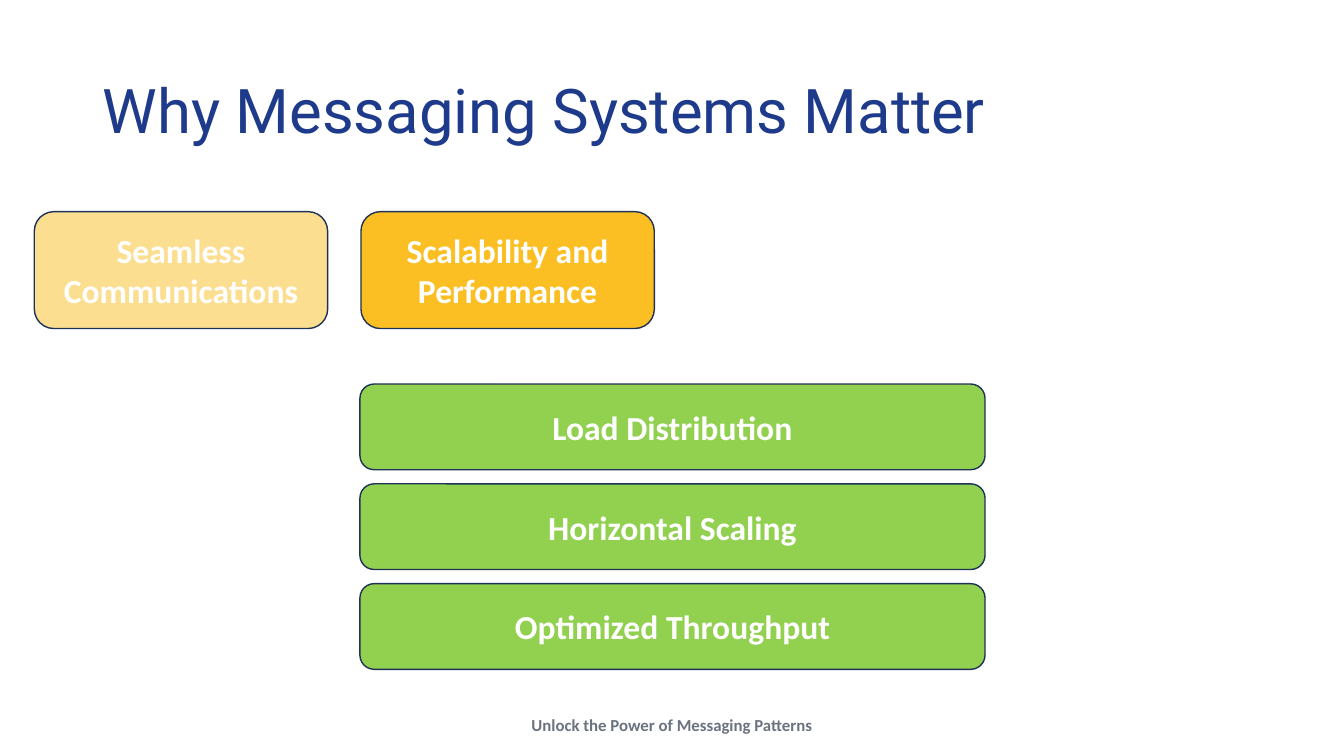
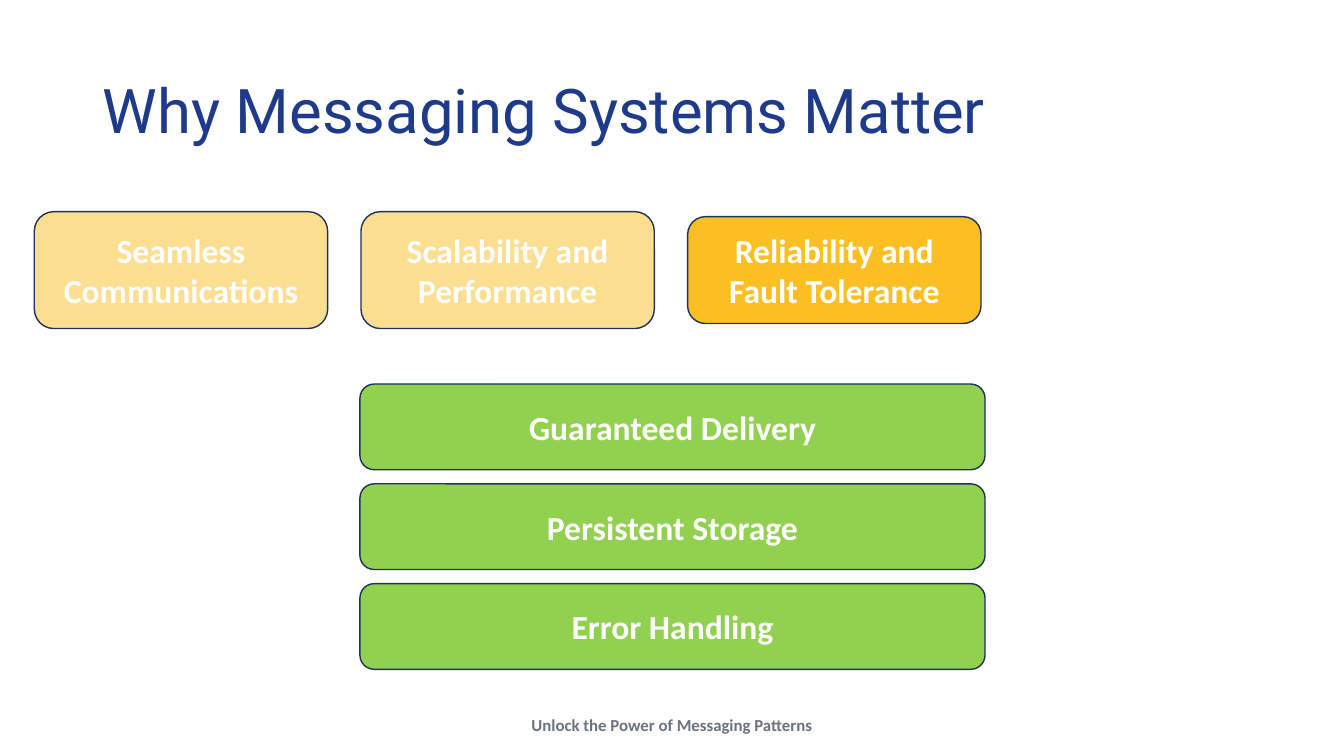
import pptx
import pptx.util
import pptx.dml.color
import pptx.enum.shapes
import pptx.enum.text
import pptx.oxml.ns
import lxml.etree

PX = 9144  # EMU per px, 100 px to the inch
SLIDE_W, SLIDE_H = 1333, 750

RGB = pptx.dml.color.RGBColor
NAVY = RGB(0x1E, 0x3A, 0x8A)
OUTLINE = RGB(0x1E, 0x32, 0x56)
AMBER = RGB(0xFB, 0xBF, 0x24)
GREEN = RGB(0x92, 0xD0, 0x50)
GRAY = RGB(0x6B, 0x72, 0x80)
WHITE = RGB(0xFF, 0xFF, 0xFF)

ALIGN = pptx.enum.text.PP_ALIGN
MIDDLE = pptx.enum.text.MSO_ANCHOR.MIDDLE

TITLE = "Why Messaging Systems Matter"
FOOTER = "Unlock the Power of Messaging Patterns"

TITLE_BOX = (92, 40, 1150, 145)
FOOTER_BOX = (515, 704, 303, 30)
TOPICS_BOX = (34, 210, 940, 116)
BENEFITS_BOX = (357, 381, 620, 283)

# Each topic: label and card height
TOPICS = [
    ("Seamless Communications", 116),
    ("Scalability and Performance", 116),
    ("Reliability and Fault Tolerance", 106),
]
# Each slide: number of topics shown (the last is current) and its benefits
SLIDES = [
    (2, ["Load Distribution", "Horizontal Scaling", "Optimized Throughput"]),
    (3, ["Guaranteed Delivery", "Persistent Storage", "Error Handling"]),
]


def emu(box):
    return [pptx.util.Emu(length * PX) for length in box]


def write(frame, text, font, size, color, bold, align):
    frame.text = text
    paragraph = frame.paragraphs[0]
    paragraph.alignment = align
    style = paragraph.runs[0].font
    style.name, style.size, style.bold = font, pptx.util.Pt(size), bold
    style.color.rgb = color
    return paragraph


def add_title(slide, box):
    frame = slide.shapes.add_textbox(*emu(box)).text_frame
    frame.word_wrap = True
    frame.vertical_anchor = MIDDLE
    paragraph = write(frame, TITLE, "Roboto", 44, NAVY, False, ALIGN.LEFT)
    paragraph.line_spacing = 0.9


def add_footer(slide, box):
    frame = slide.shapes.add_textbox(*emu(box)).text_frame
    frame.word_wrap = False
    frame.auto_size = pptx.enum.text.MSO_AUTO_SIZE.SHAPE_TO_FIT_TEXT
    write(frame, FOOTER, "Calibri", 12, GRAY, True, ALIGN.CENTER)


def add_card(slide, box, text, color, faded=False):
    card = slide.shapes.add_shape(
        pptx.enum.shapes.MSO_SHAPE.ROUNDED_RECTANGLE, *emu(box))
    card.shadow.inherit = False
    card.fill.solid()
    card.fill.fore_color.rgb = color
    if faded:
        qn = pptx.oxml.ns.qn
        tint = card.fill._xPr.find(qn("a:solidFill")).find(qn("a:srgbClr"))
        lxml.etree.SubElement(tint, qn("a:alpha")).set("val", "50000")
    card.line.color.rgb = OUTLINE
    card.line.width = pptx.util.Pt(1)
    card.text_frame.word_wrap = True
    card.text_frame.vertical_anchor = MIDDLE
    write(card.text_frame, text, "Calibri", 24, WHITE, True, ALIGN.CENTER)


def add_topics(slide, box, shown):
    """Row of topic cards, centred vertically; earlier topics are faded."""
    left, top, width, height = box
    card_w = 291
    step = (width - card_w) // (len(TOPICS) - 1)
    for i, (label, card_h) in enumerate(TOPICS[:shown]):
        card_box = (left + i * step, top + (height - card_h) // 2, card_w, card_h)
        add_card(slide, card_box, label, AMBER, faded=i < shown - 1)


def add_benefits(slide, box, benefits):
    """Stack of equal cards that fills the box."""
    left, top, width, height = box
    card_h = 85
    step = (height - card_h) // (len(benefits) - 1)
    for i, benefit in enumerate(benefits):
        add_card(slide, (left, top + i * step, width, card_h), benefit, GREEN)


def add_topic_slide(deck, shown, benefits):
    slide = deck.slides.add_slide(deck.slide_layouts[6])
    slide.background.fill.solid()
    slide.background.fill.fore_color.rgb = WHITE
    add_footer(slide, FOOTER_BOX)
    add_title(slide, TITLE_BOX)
    add_topics(slide, TOPICS_BOX, shown)
    add_benefits(slide, BENEFITS_BOX, benefits)


def main():
    deck = pptx.Presentation()
    deck.slide_width, deck.slide_height = emu((SLIDE_W, SLIDE_H))
    for shown, benefits in SLIDES:
        add_topic_slide(deck, shown, benefits)
    deck.save("out.pptx")


if __name__ == "__main__":
    main()
